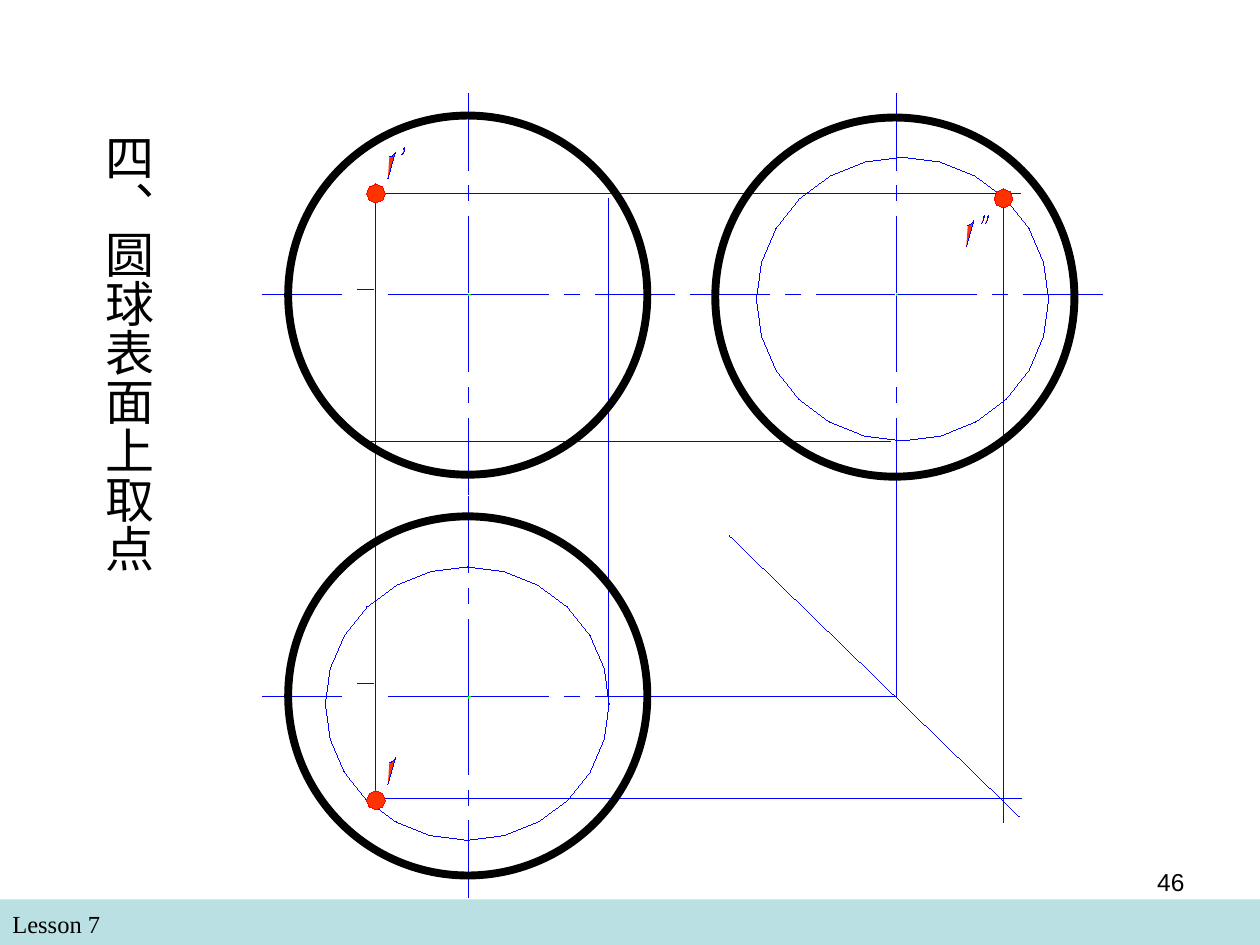
from math import cos, pi, sin

from lxml.etree import SubElement
from pptx import Presentation
from pptx.dml.color import RGBColor
from pptx.enum.shapes import MSO_CONNECTOR, MSO_SHAPE
from pptx.enum.text import MSO_ANCHOR, MSO_AUTO_SIZE, PP_ALIGN
from pptx.oxml.ns import qn
from pptx.util import Cm, Pt

BLACK = RGBColor(0x00, 0x00, 0x00)
BLUE = RGBColor(0x00, 0x00, 0xFF)
GREEN = RGBColor(0x00, 0xFF, 0x00)
RED = RGBColor(0xFF, 0x00, 0x00)
ORANGE = RGBColor(0xFF, 0x33, 0x00)
BAND = RGBColor(0xBB, 0xE0, 0xE3)

HAIRLINE = Pt(0.01)
SPHERE = 7.24
ACROSS = [(0.03, 1.61), (1.93, 2.24), (2.56, 4.15)]
UPRIGHT = [(0.03, 1.56), (1.88, 2.18), (2.5, 4.04)]
DIGIT = [(0.03, 0.09), (0.08, 0.08), (0.15, 0), (0, 0.53)]
PRIME = [(0.06, 0.03), (0.05, 0.05), (0.04, 0.03), (0.06, 0),
         (0.06, 0.03), (0.05, 0.08), (0.02, 0.13), (0, 0.15)]
PROJECTIONS = [
    (7.62, 16.09, 20.6, 16.09),
    (7.57, 3.81, 7.57, 16.13),
    (7.57, 3.9, 20.57, 3.9),
    (12.27, 4.01, 12.27, 14.22),
    (7.42, 8.89, 17.96, 8.89),
    (20.22, 3.99, 20.22, 16.59),
    (13.59, 14.05, 18.07, 14.05),
    (18.07, 9.96, 18.07, 14.05),
    (14.71, 10.8, 20.55, 16.46),
]


def write_text(shape, text, size=14, font="Arial", align=PP_ALIGN.LEFT,
               insets=(0.25, 0.13, 0.13), vertical=False):
    """Fill a shape's text frame with one formatted paragraph."""
    side, top, bottom = insets
    frame = shape.text_frame
    frame.word_wrap = True
    frame.auto_size = MSO_AUTO_SIZE.NONE
    frame.vertical_anchor = MSO_ANCHOR.TOP
    frame.margin_left = frame.margin_right = Cm(side)
    frame.margin_top, frame.margin_bottom = Cm(top), Cm(bottom)
    if vertical:
        frame._txBody.bodyPr.set("vert", "eaVert")
    para = frame.paragraphs[0]
    para.alignment = align
    para.space_before = Pt(0)
    span = para.add_run()
    span.text = text
    span.font.size = Pt(size)
    span.font.name = font
    span.font.color.rgb = BLACK


def draw_line(page, x1, y1, x2, y2, color=BLUE):
    """Draw a hairline between two points."""
    line = page.shapes.add_connector(
        MSO_CONNECTOR.STRAIGHT, Cm(x1), Cm(y1), Cm(x2), Cm(y2))
    line.line.color.rgb = color
    line.line.width = HAIRLINE
    SubElement(line._element.spPr, qn("a:effectLst"))


def draw_outline(page, points, color=BLUE, fill=None, close=True):
    """Draw a hairline outline through the points, filled if asked."""
    spots = [(Cm(x), Cm(y)) for x, y in points]
    builder = page.shapes.build_freeform(*spots[0])
    builder.add_line_segments(spots[1:], close=close)
    shape = builder.convert_to_shape()
    shape.shadow.inherit = False
    shape.line.color.rgb = color
    shape.line.width = HAIRLINE
    if fill is None:
        shape.fill.background()
    else:
        shape.fill.solid()
        shape.fill.fore_color.rgb = fill


def draw_polygon(page, left, top, width, height, sides, color=BLUE, fill=None):
    """Draw a polygon inscribed in the ellipse of the given box."""
    turns = [2 * pi * step / sides for step in range(sides)]
    points = [(left + width / 2 * (1 + cos(turn)),
               top + height / 2 * (1 - sin(turn))) for turn in turns]
    draw_outline(page, points, color, fill)


def draw_centre_lines(page, x, y, rise):
    """Draw the dash-dot axes about a centre, the left short dash raised."""
    for side in (-1, 1):
        for start, end in ACROSS:
            short = end - start < 1
            level = y - rise if short and side < 0 else y
            draw_line(page, x + side * start, level, x + side * end, level)
        for start, end in UPRIGHT:
            draw_line(page, x, y + side * start, x, y + side * end)
    draw_line(page, x, y, x + 0.03, y, GREEN)
    draw_line(page, x, y, x, y + 0.03, GREEN)


def draw_sphere(page, left, top):
    """Draw the thick outline of one view of the sphere."""
    circle = page.shapes.add_shape(
        MSO_SHAPE.OVAL, Cm(left), Cm(top), Cm(SPHERE), Cm(SPHERE))
    circle.shadow.inherit = False
    circle.fill.background()
    circle.line.color.rgb = BLACK
    circle.line.width = Pt(4.5)


def draw_point(page, left, top, label_x, label_y, primes=()):
    """Draw a point and its number, with primes at the given offsets."""
    draw_polygon(page, left, top, 0.38, 0.38, 8, RED, ORANGE)
    glyphs = [(DIGIT, 0, 0)] + [(PRIME, shift, -0.1) for shift in primes]
    for glyph, dx, dy in glyphs:
        points = [(left + label_x + dx + x, top + label_y + dy + y)
                  for x, y in glyph]
        draw_outline(page, points, fill=ORANGE, close=False)


def draw_views(page):
    """Draw the three views with their projection lines and points."""
    draw_polygon(page, 6.56, 11.43, 5.72, 5.51, 24)
    draw_polygon(page, 15.25, 3.17, 5.89, 5.72, 24)
    for ends in PROJECTIONS:
        draw_line(page, *ends)
    draw_point(page, 7.39, 15.94, 0.43, -0.66)
    draw_point(page, 7.39, 3.71, 0.43, -0.64, primes=[0.28])
    draw_point(page, 20.04, 3.81, -0.56, 0.64, primes=[0.3, 0.38])
    for x, y, rise in [(9.45, 5.93, 0.1), (9.45, 14.05, 0.28), (18.07, 5.93, 0)]:
        draw_centre_lines(page, x, y, rise)
    for left, top in [(5.81, 10.41), (14.42, 2.37), (5.81, 2.33)]:
        draw_sphere(page, left, top)


def place_title(page, left, top, width, height):
    """Place the vertical title in the given box."""
    title = page.shapes.title
    title.left, title.top = Cm(left), Cm(top)
    title.width, title.height = Cm(width), Cm(height)
    write_text(title, "四、圆球表面上取点", size=28,
               insets=(0.13, 0.75, 0.25), vertical=True)


def draw_footer(page, left, top, width, height):
    """Draw the footer band with the lesson name and the page number."""
    band = page.shapes.add_shape(
        MSO_SHAPE.RECTANGLE, Cm(left), Cm(top), Cm(width), Cm(height))
    band.shadow.inherit = False
    band.fill.solid()
    band.fill.fore_color.rgb = BAND
    band.line.fill.background()
    lesson = page.shapes.add_textbox(
        Cm(left), Cm(top + 0.07), Cm(12.27), Cm(0.86))
    write_text(lesson, "Lesson 7", font="Times New Roman")
    number = page.shapes.add_textbox(
        Cm(left + 18.21), Cm(top - 0.78), Cm(5.92), Cm(1.32))
    write_text(number, "46", align=PP_ALIGN.RIGHT)


def main():
    """Build the slide and save the deck."""
    deck = Presentation()
    deck.slide_width, deck.slide_height = Cm(25.4), Cm(19.05)
    page = deck.slides.add_slide(deck.slide_layouts[5])
    draw_footer(page, 0, 18.13, 25.4, 0.92)
    draw_views(page)
    place_title(page, 1.62, 1.93, 1.68, 10.41)
    deck.save("out.pptx")


if __name__ == "__main__":
    main()
